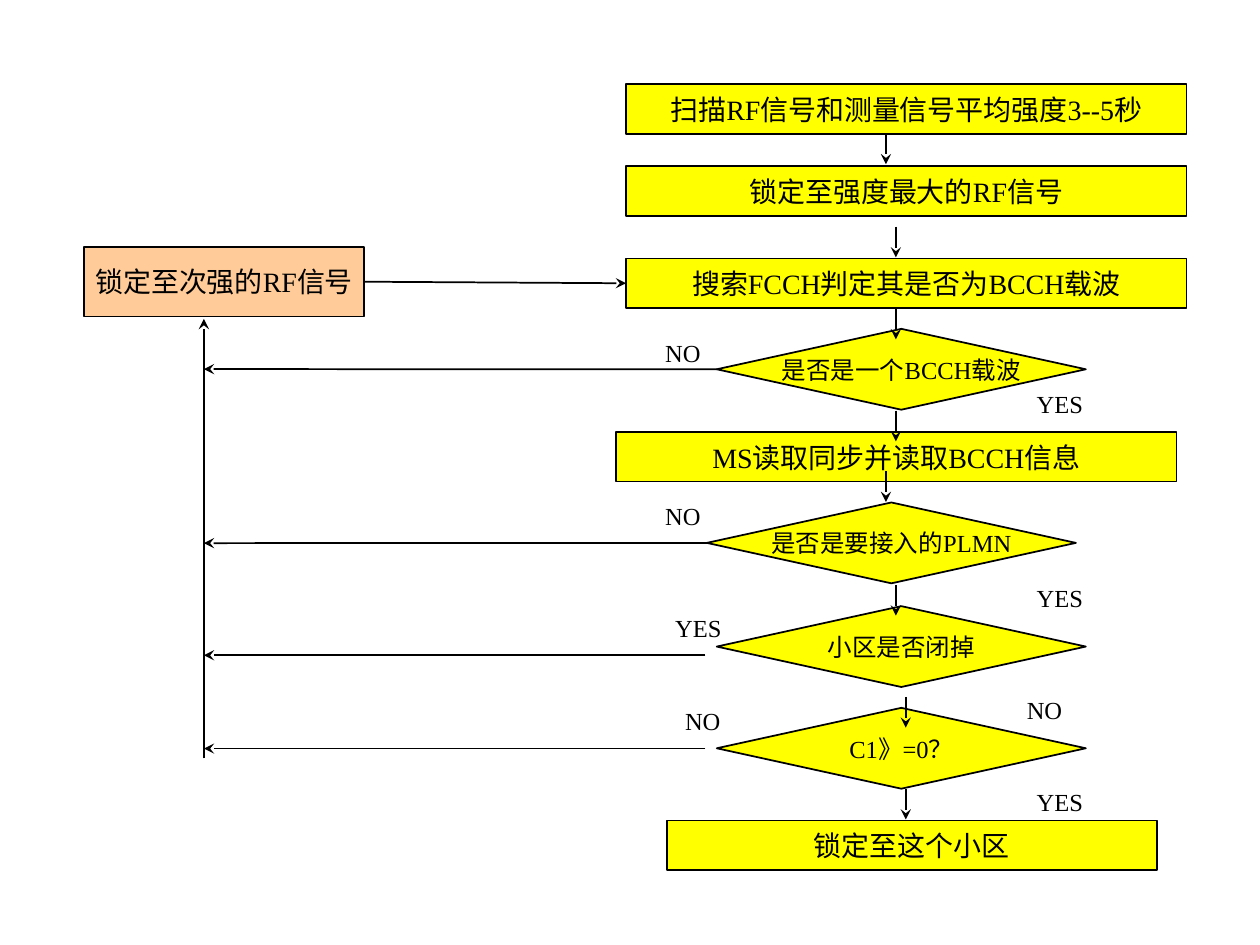
import dataclasses

import lxml.etree
import pptx
import pptx.dml.color
import pptx.enum.shapes
import pptx.enum.text
import pptx.oxml.ns
import pptx.util

Cm = pptx.util.Cm
Kind = pptx.enum.shapes.MSO_SHAPE
Align = pptx.enum.text.PP_ALIGN
Anchor = pptx.enum.text.MSO_ANCHOR
qn = pptx.oxml.ns.qn


@dataclasses.dataclass(frozen=True)
class Theme:
    font: str = "Times New Roman"
    ink: str = "000000"
    step: str = "FFFF00"
    retry: str = "FFCC99"
    large: int = 16
    small: int = 14
    line: int = 1


THEME = Theme()


def color(code):
    return pptx.dml.color.RGBColor.from_string(code)


def write(shape, text, size=THEME.small, align=Align.LEFT, anchor=Anchor.TOP):
    frame = shape.text_frame
    frame.word_wrap = False
    frame.vertical_anchor = anchor
    para = frame.paragraphs[0]
    para.text = text
    para.alignment = align
    para.font.size = pptx.util.Pt(size)
    para.font.name = THEME.font
    para.font.color.rgb = color(THEME.ink)


def node(slide, kind, box, text, fill=THEME.step, size=THEME.large):
    shape = slide.shapes.add_shape(kind, *map(Cm, box))
    shape.shadow.inherit = False
    shape.fill.solid()
    shape.fill.fore_color.rgb = color(fill)
    shape.line.color.rgb = color(THEME.ink)
    shape.line.width = pptx.util.Pt(THEME.line)
    write(shape, text, size=size, align=Align.CENTER, anchor=Anchor.MIDDLE)
    return shape


def arrow(slide, start, end):
    link = slide.shapes.add_connector(
        pptx.enum.shapes.MSO_CONNECTOR.STRAIGHT, *map(Cm, start + end))
    link.line.color.rgb = color(THEME.ink)
    link.line.width = pptx.util.Pt(THEME.line)
    lxml.etree.SubElement(link.line._get_or_add_ln(), qn("a:tailEnd"), type="stealth")
    lxml.etree.SubElement(link._element.spPr, qn("a:effectLst"))
    return link


def label(slide, left, top, text):
    width = 1.22 if text == "NO" else 1.45
    shape = slide.shapes.add_textbox(*map(Cm, (left, top, width, 0.84)))
    write(shape, text)
    shape.text_frame.auto_size = pptx.enum.text.MSO_AUTO_SIZE.SHAPE_TO_FIT_TEXT


def flow(slide, left, top):
    steps = [
        (0.2, 0, 11.3, "扫描RF信号和测量信号平均强度3--5秒"),
        (0.2, 1.65, 11.3, "锁定至强度最大的RF信号"),
        (0.2, 3.51, 11.3, "搜索FCCH判定其是否为BCCH载波"),
        (0, 7.01, 11.3, "MS读取同步并读取BCCH信息"),
        (1.02, 14.84, 9.88, "锁定至这个小区"),
    ]
    tests = [
        (2.03, 4.93, "是否是一个BCCH载波"),
        (1.83, 8.43, "是否是要接入的PLMN"),
        (2.03, 10.52, "小区是否闭掉"),
        (2.03, 12.57, "C1》=0？"),
    ]
    drops = [
        (5.44, 0.99), (5.64, 2.87), (5.64, 4.52), (5.64, 6.58),
        (5.44, 7.8), (5.64, 10.09), (5.84, 12.35), (5.84, 14.2),
    ]
    marks = [
        (0.74, 4.98, "NO"), (8.23, 6.02, "YES"),
        (0.74, 8.28, "NO"), (8.23, 9.93, "YES"),
        (0.94, 10.54, "YES"), (8.03, 12.19, "NO"),
        (1.14, 12.4, "NO"), (8.23, 14.05, "YES"),
    ]
    bars = [node(slide, Kind.RECTANGLE, (left + x, top + y, width, 1), text)
            for x, y, width, text in steps]
    gems = [node(slide, Kind.DIAMOND, (left + x, top + y, 7.44, 1.63), text,
                 size=THEME.small)
            for x, y, text in tests]
    for x, y in drops:
        arrow(slide, (left + x, top + y), (left + x, top + y + 0.62))
    for x, y, text in marks:
        label(slide, left + x, top + y, text)
    return bars[2], gems


def loop(slide, left, top, search, gems):
    retry = node(slide, Kind.RECTANGLE, (left, top, 5.64, 1.4),
                 "锁定至次强的RF信号", fill=THEME.retry)
    rail = left + 2.41
    arrow(slide, (rail, top + 10.31), (rail, top + 1.45))
    for y, gem in zip((2.46, 5.97, 8.23, 10.11), gems[:2] + [None, None]):
        link = arrow(slide, (left + 12.52, top + y), (rail, top + y))
        if gem:
            link.begin_connect(gem, 1)
    link = arrow(slide, (left + 5.64, top + 0.7), (left + 10.92, top + 0.7))
    link.begin_connect(retry, 3)
    link.end_connect(search, 1)


def main():
    deck = pptx.Presentation()
    deck.slide_width = Cm(25.4)
    deck.slide_height = Cm(19.05)
    slide = deck.slides.add_slide(deck.slide_layouts[6])
    search, gems = flow(slide, 12.42, 1.7)
    loop(slide, 1.7, 4.98, search, gems)
    deck.save("out.pptx")


if __name__ == "__main__":
    main()
